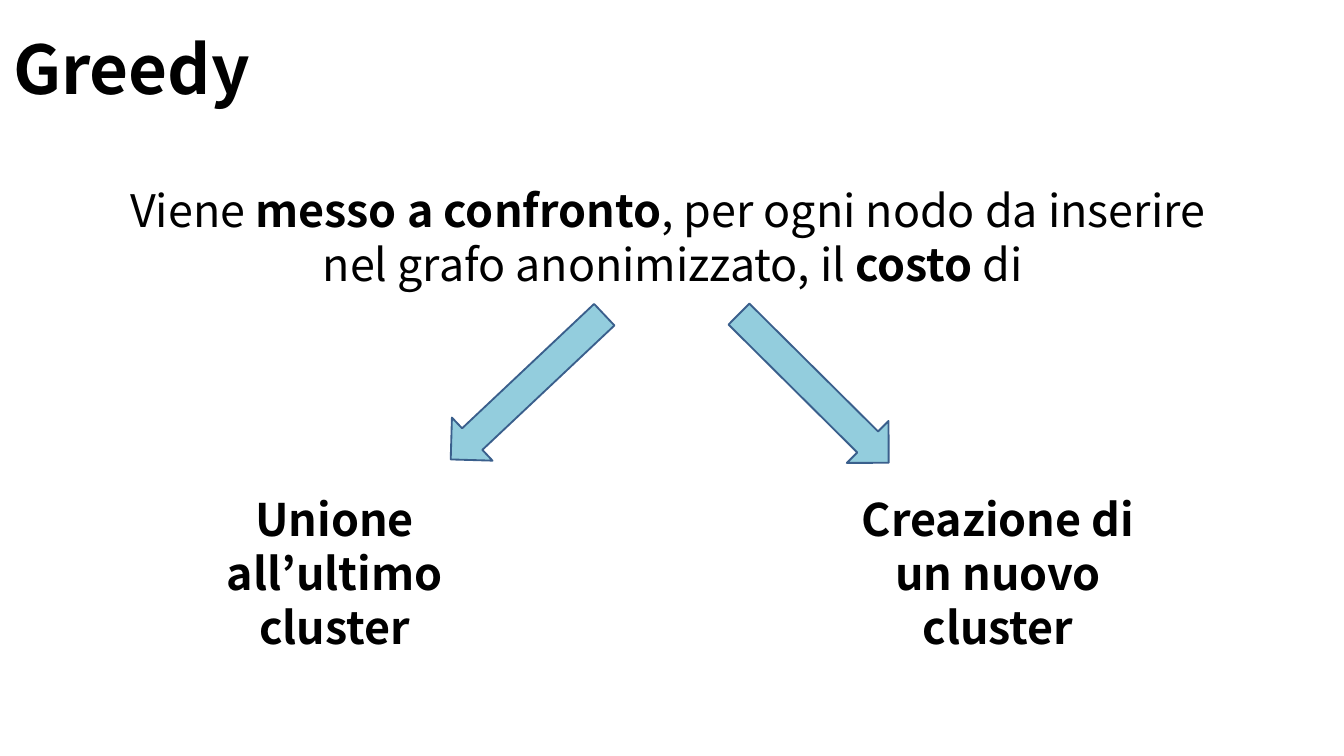
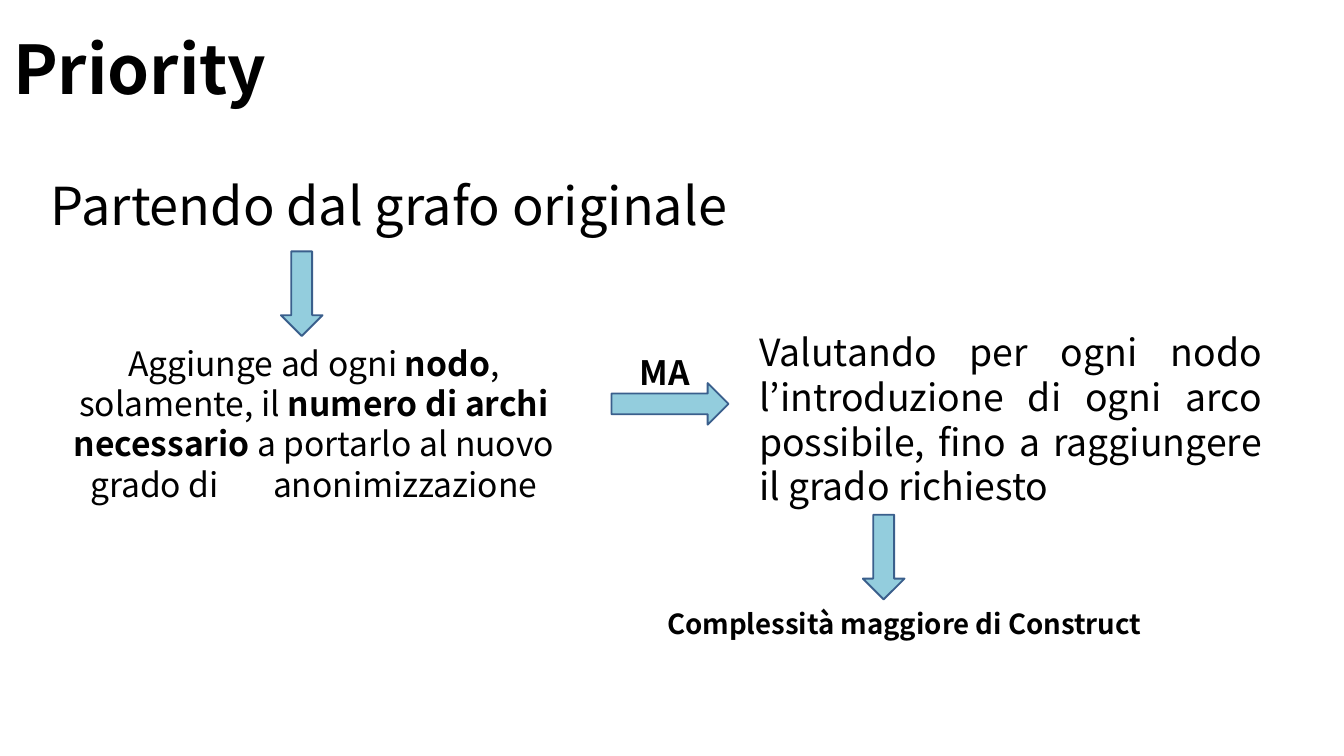
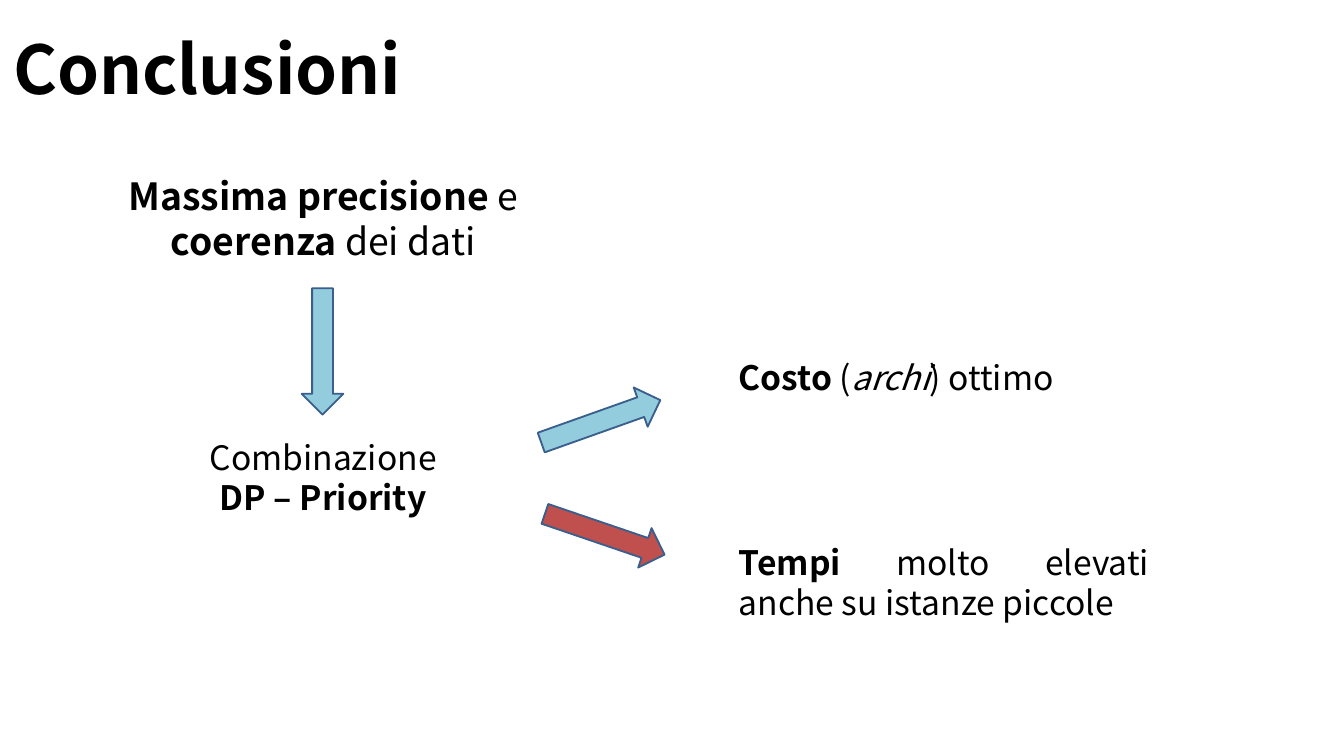
from pptx import Presentation
from pptx.util import Inches, Pt
from pptx.dml.color import RGBColor
from pptx.enum.shapes import MSO_SHAPE as Shape
from pptx.enum.text import MSO_ANCHOR as Anchor, MSO_AUTO_SIZE as Auto, PP_ALIGN as Align

FONT = "Noto Sans CJK KR"
WIDTH = Inches(10)
HEIGHT = WIDTH * 9 // 16
COLORS = {"text": "000000", "blue": "93CDDD", "red": "C0504D", "edge": "3A5F8C"}
ALIGN = {"left": Align.LEFT, "center": Align.CENTER, "just": Align.JUSTIFY}
STYLES = {
    "": {"bold": False},
    "b": {"bold": True},
    "i": {"bold": False, "italic": True},
    "gap": {"bold": False},
}
GAP = 25  # points added to the wide space inside a line
TITLE_BOX = (0, 0.03, 10, 0.94)
THIN, THICK = 0.31, 0.44

# Text: (box, size, align, paragraphs of (words, style) runs, options)
# Arrow: (left, top, length, thickness, rotation, colour)
SLIDES = [
    {
        "title": "Greedy",
        "texts": [
            ((0.78, 1.31, 8.45, 0.91), 24, "center", [
                [("Viene ", ""), ("messo a confronto", "b"),
                 (", per ogni nodo da inserire ", "")],
                [("nel grafo anonimizzato, il ", ""), ("costo", "b"), (" di", "")],
            ], {"word_wrap": False, "auto_size": Auto.SHAPE_TO_FIT_TEXT}),
            ((6.07, 3.61, 2.71, 0.91), 24, "center",
             [[("Creazione di un nuovo cluster", "b")]], {}),
            ((1.06, 3.61, 2.86, 0.91), 24, "center",
             [[("Unione", "b")], [("all’ultimo cluster", "b")]], {}),
        ],
        "arrows": [
            (3.14, 2.66, 1.57, THICK, 316.7, "blue"),
            (5.27, 2.67, 1.57, THICK, 224.8, "blue"),
        ],
    },
    {
        "title": "Priority",
        "texts": [
            ((5.55, 2.4, 3.94, 1.44), 20, "just",
             [[("Valutando per ogni nodo l’introduzione di ogni arco possibile, "
                "fino a raggiungere il grado richiesto", "")]], {}),
            ((0.28, 1.24, 9.45, 0.63), 28, "left",
             [[("Partendo dal grafo originale", "")]], {}),
            ((0.27, 2.5, 4.13, 1.34), 18, "center", [
                [("Aggiunge ad ogni ", ""), ("nodo", "b"), (", solamente, il ", ""),
                 ("numero di archi necessario", "b"),
                 (" a portarlo al nuovo grado di", ""), (" ", "gap"),
                 ("anonimizzazione", "")],
            ], {}),
            ((4.66, 2.57, 0.68, 0.4), 18, "just", [[("MA", "b")]], {}),
            ((4.76, 4.47, 3.94, 0.39), 14.8, "center",
             [[("Complessità maggiore di Construct", "b")]], {}),
        ],
        "arrows": [
            (1.93, 2.03, 0.63, THIN, 270, "blue"),
            (4.55, 2.85, 0.87, THIN, 180, "blue"),
            (6.26, 3.99, 0.63, THIN, 270, "blue"),
        ],
    },
    {
        "title": "Conclusioni",
        "texts": [
            ((0.83, 1.24, 3.15, 0.79), 20, "center",
             [[("Massima precisione ", "b"), ("e ", ""), ("coerenza ", "b"),
               ("dei dati", "")]], {}),
            ((1.38, 3.2, 2.05, 0.79), 18, "center",
             [[("Combinazione ", ""), ("DP – Priority", "b")]], {}),
            ((5.4, 3.98, 3.25, 0.79), 18, "just",
             [[("Tempi", "b"), (" molto elevati anche su istanze piccole", "")]], {}),
            ((5.4, 2.61, 3.25, 0.4), 18, "just",
             [[("Costo ", "b"), ("(", ""), ("archi", "i"), (") ottimo", "")]], {}),
        ],
        "arrows": [
            (1.93, 2.46, 0.94, THIN, 270, "blue"),
            (4, 2.98, 0.94, THIN, 160.4, "blue"),
            (4.03, 3.82, 0.94, THIN, 198.8, "red"),
        ],
    },
]


def color(name):
    return RGBColor.from_string(COLORS[name])


def assign(obj, values):
    for key, value in values.items():
        setattr(obj, key, value)


def add_text(slide, box, size, align, paras, opts):
    frame = slide.shapes.add_textbox(*map(Inches, box)).text_frame
    assign(frame, {"word_wrap": True, "auto_size": Auto.NONE, **opts})
    for num, runs in enumerate(paras):
        para = frame.add_paragraph() if num else frame.paragraphs[0]
        para.alignment = ALIGN[align]
        for words, style in runs:
            run = para.add_run()
            run.text = words
            assign(run.font, {"name": FONT, "size": Pt(size), **STYLES[style]})
            run.font.color.rgb = color("text")
            if style == "gap":
                run.font._element.set("spc", str(GAP * 100))


def add_arrow(slide, left, top, length, thick, turn, fill):
    box = map(Inches, (left, top, length, thick))
    arrow = slide.shapes.add_shape(Shape.LEFT_ARROW, *box)
    arrow.rotation = turn
    arrow.shadow.inherit = False
    arrow.fill.solid()
    arrow.fill.fore_color.rgb = color(fill)
    arrow.line.color.rgb = color("edge")
    arrow.line.width = Pt(1)


def main():
    deck = Presentation()
    assign(deck, {"slide_width": WIDTH, "slide_height": HEIGHT})
    for data in SLIDES:
        slide = deck.slides.add_slide(deck.slide_layouts[6])
        add_text(slide, TITLE_BOX, 36, "left", [[(data["title"], "b")]],
                 {"vertical_anchor": Anchor.MIDDLE})
        for text in data["texts"]:
            add_text(slide, *text)
        for arrow in data["arrows"]:
            add_arrow(slide, *arrow)
    deck.save("out.pptx")


if __name__ == "__main__":
    main()
